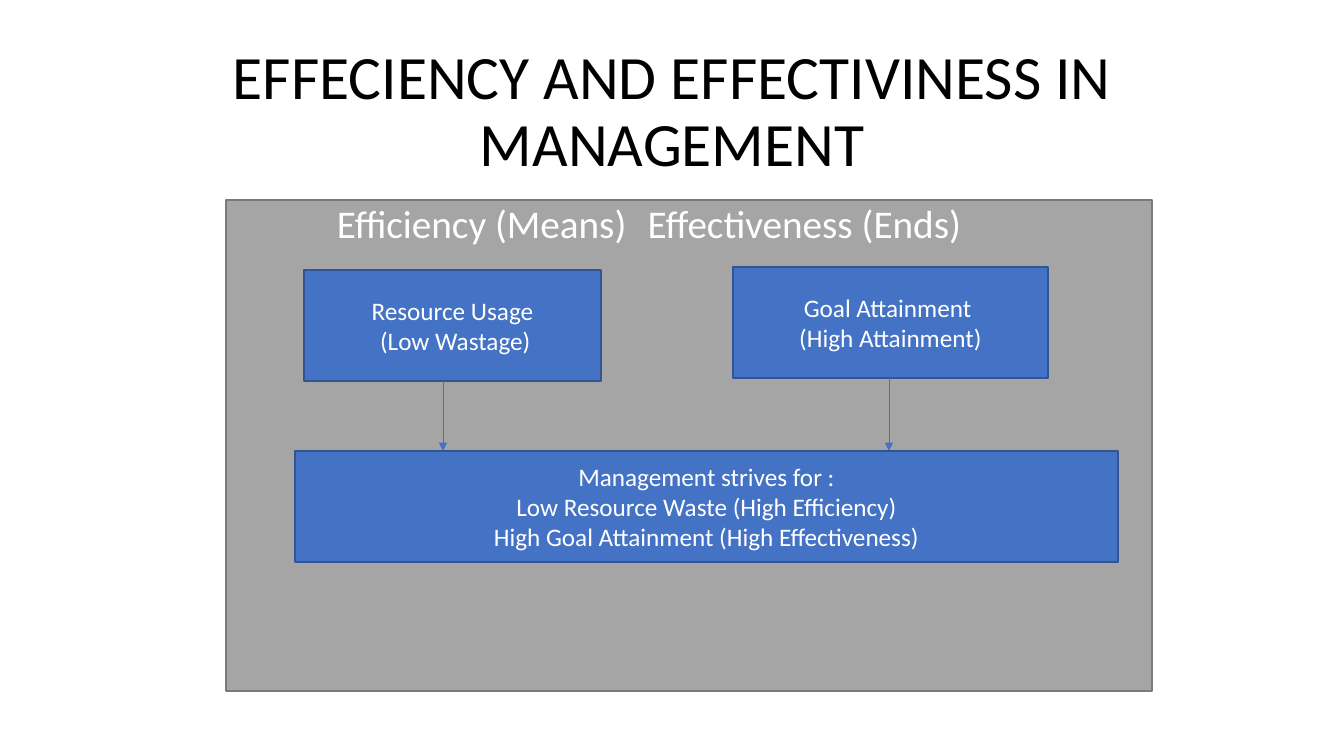
from lxml import etree
from pptx import Presentation
from pptx import util as u
from pptx.dml.color import RGBColor
from pptx.enum import shapes, text
from pptx.oxml.ns import qn

EMU_PER_PX = 914400 / 100.8
FONT = "Calibri"
COLORS = {
    "title": "000000",
    "text": "FFFFFF",
    "panel": "A5A5A5",
    "panel_line": "7A7A7A",
    "box": "4472C4",
    "box_line": "325491",
}


def px(n):
    return u.Emu(round(n * EMU_PER_PX))


def rgb(name):
    return RGBColor.from_string(COLORS[name])


class Diagram:
    def __init__(self, slide):
        self.s = slide

    def add_lines(self, sp, lines, size, color="text", align=text.PP_ALIGN.CENTER,
                  anchor=text.MSO_ANCHOR.MIDDLE, spacing=None, tabs=()):
        """Fill a shape with one paragraph per line; tabs are stops in px."""
        tf = sp.text_frame
        tf.word_wrap = True
        tf.vertical_anchor = anchor
        for i, line in enumerate(lines):
            p = tf.add_paragraph() if i else tf.paragraphs[0]
            if tabs:
                tab_list = etree.SubElement(p._p.get_or_add_pPr(), qn("a:tabLst"))
                for stop in tabs:
                    etree.SubElement(tab_list, qn("a:tab"), pos=str(px(stop)), algn="l")
            p.alignment = align
            if spacing:
                p.line_spacing = spacing
            r = p.add_run()
            r.text = line
            r.font.name = FONT
            r.font.size = u.Pt(size)
            r.font.color.rgb = rgb(color)

    def title(self, x, y, w, h, line):
        sp = self.s.shapes.add_textbox(px(x), px(y), px(w), px(h))
        self.add_lines(sp, [line], 44, "title", spacing=0.9)

    def box(self, x, y, w, h, lines, fill="box", size=18, **style):
        sp = self.s.shapes.add_shape(shapes.MSO_SHAPE.RECTANGLE,
                                     px(x), px(y), px(w), px(h))
        sp.shadow.inherit = False
        sp.fill.solid()
        sp.fill.fore_color.rgb = rgb(fill)
        sp.line.color.rgb = rgb(fill + "_line")
        sp.line.width = u.Pt(1)
        self.add_lines(sp, lines, size, **style)

    def down_arrow(self, x, top, bottom):
        c = self.s.shapes.add_connector(shapes.MSO_CONNECTOR.STRAIGHT,
                                        px(x), px(top), px(x), px(bottom))
        c.line.color.rgb = rgb("box")
        c.line.width = u.Pt(0.5)
        sp_pr = c._element.spPr
        etree.SubElement(sp_pr.find(qn("a:ln")), qn("a:tailEnd"), type="triangle")
        etree.SubElement(sp_pr, qn("a:effectLst"))


def main():
    prs = Presentation()
    prs.slide_width, prs.slide_height = px(1344), px(756)
    d = Diagram(prs.slides.add_slide(prs.slide_layouts[6]))

    d.title(93, 40, 1159, 146, "EFFECIENCY AND EFFECTIVINESS IN MANAGEMENT")
    d.box(226, 200, 926, 491, ["\tEfficiency (Means)\t Effectiveness (Ends)"],
          fill="panel", size=28, align=text.PP_ALIGN.LEFT,
          anchor=text.MSO_ANCHOR.TOP, spacing=0.9, tabs=(101, 403))

    box_h, goal_top = 111, 451
    causes = [
        (304, 270, 297, 443, ["Resource Usage", " (Low Wastage)"]),
        (733, 267, 315, 889, ["Goal Attainment ", "(High Attainment)"]),
    ]
    for x, y, w, arrow_x, lines in causes:
        d.box(x, y, w, box_h, lines)
        d.down_arrow(arrow_x, y + box_h, goal_top)
    d.box(295, goal_top, 823, box_h, [
        "Management strives for :",
        "Low Resource Waste (High Efficiency)",
        "High Goal Attainment (High Effectiveness)",
    ])

    prs.save("out.pptx")


if __name__ == "__main__":
    main()
